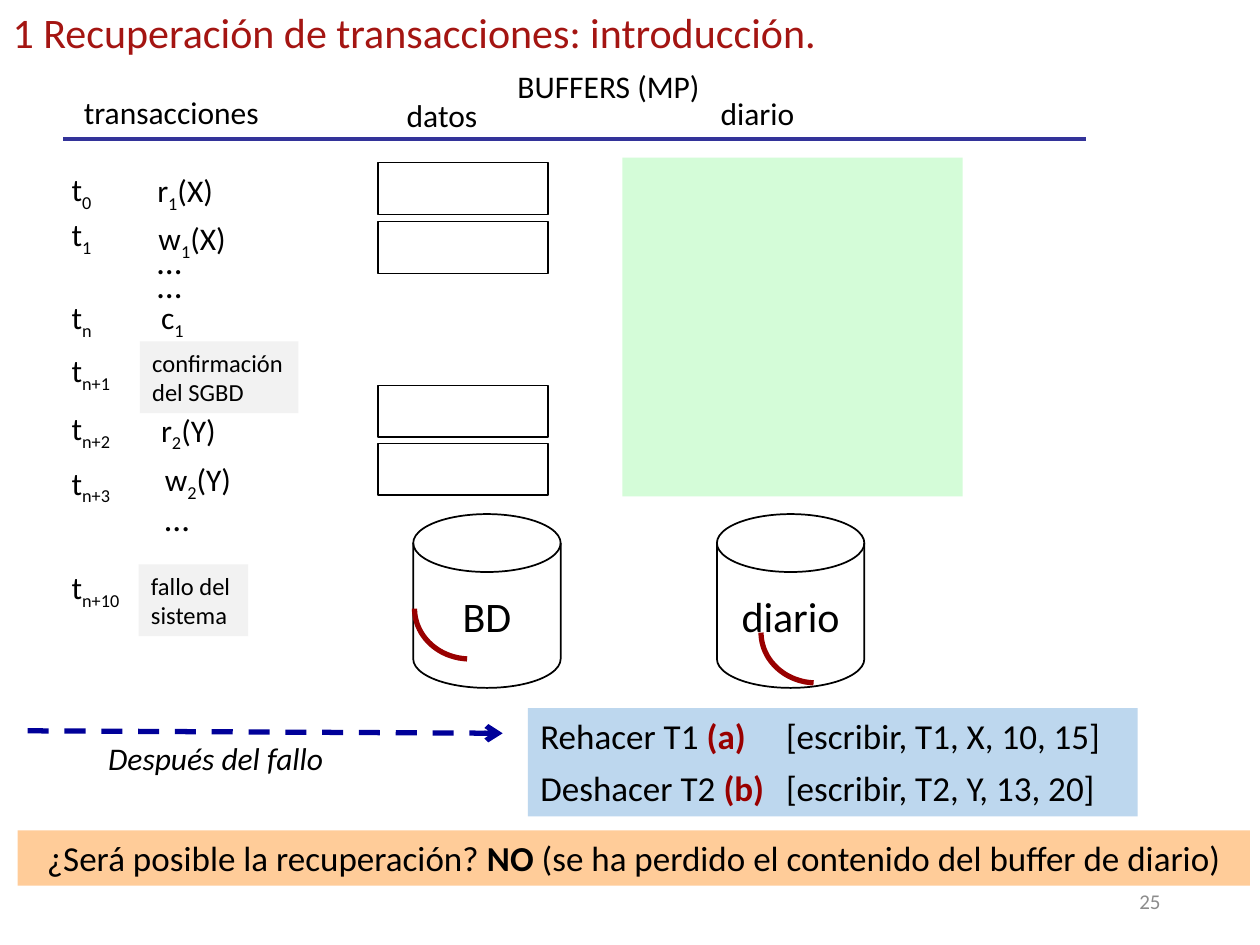
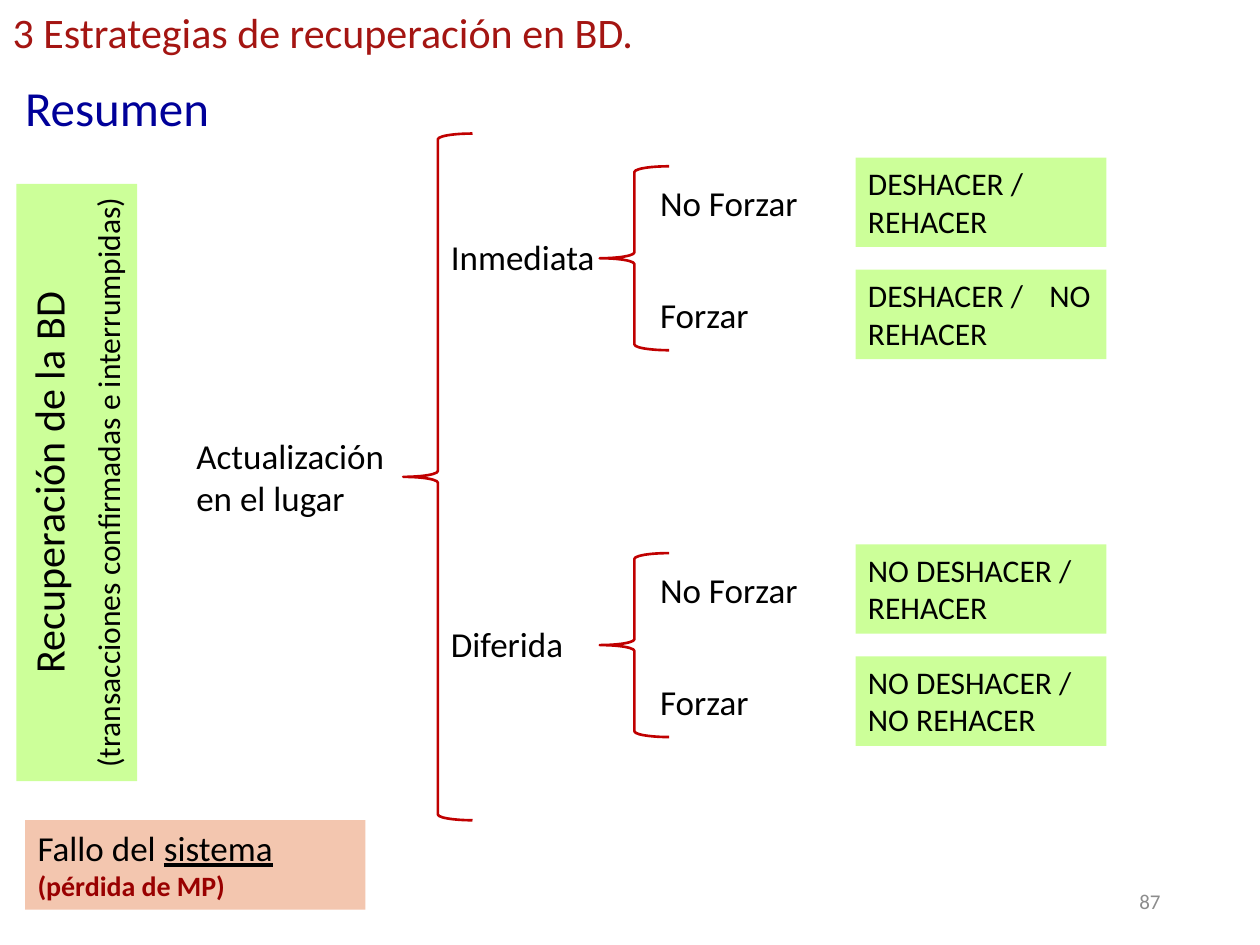
from dataclasses import dataclass
from math import cos, radians, sin

from lxml import etree
from pptx import Presentation
from pptx.dml.color import RGBColor
from pptx.enum.dml import MSO_LINE
from pptx.enum.shapes import MSO_CONNECTOR, MSO_SHAPE
from pptx.enum.text import MSO_ANCHOR, MSO_AUTO_SIZE, PP_ALIGN
from pptx.oxml.ns import qn
from pptx.util import Inches, Pt

LEFT, CENTER, RIGHT = PP_ALIGN.LEFT, PP_ALIGN.CENTER, PP_ALIGN.RIGHT
TOP, MIDDLE = MSO_ANCHOR.TOP, MSO_ANCHOR.MIDDLE
RECT, BRACE = MSO_SHAPE.RECTANGLE, MSO_SHAPE.LEFT_BRACE
DISK = MSO_SHAPE.FLOWCHART_MAGNETIC_DISK
STRAIGHT, DASH = MSO_CONNECTOR.STRAIGHT, MSO_LINE.DASH
TITLE_ONLY = 5


@dataclass(frozen=True)
class Theme:
    font: str = "Calibri"
    ink: str = "000000"
    white: str = "FFFFFF"
    title: str = "A41512"
    navy: str = "000099"
    rule: str = "333399"
    accent: str = "990000"
    brace: str = "C00000"
    number: str = "8C8C8C"
    log: str = "D4FCD8"
    event: str = "F2F2F2"
    action: str = "BDD7EE"
    answer: str = "FFCC99"
    strategy: str = "CCFF99"
    failure: str = "F3C6AF"
    heading_size: int = 28
    title_size: int = 24
    large: int = 20
    body: int = 18
    note: int = 16
    small: int = 14
    number_size: int = 12


T = Theme()


def rgb(value):
    return RGBColor.from_string(value)


def add_run(p, text, color=None, size=None, bold=None, underline=None, sub=False):
    r = p.add_run()
    r.text = text
    r.font.bold, r.font.underline = bold, underline
    if color:
        r.font.color.rgb = rgb(color)
    if size:
        r.font.size = Pt(size)
    if sub:
        r._r.get_or_add_rPr().set("baseline", "-25000")


def write(tf, paragraphs, size=T.body, color=T.ink, align=LEFT, anchor=TOP,
          wrap=True, gap=0, sizes=None, italic=None, tab=None, spacing=None):
    """Fill a frame; a paragraph is a string or a list of strings, (text, style) pairs
    and None for a line break. gap goes before all paragraphs but the first."""
    tf.word_wrap, tf.vertical_anchor = wrap, anchor
    tf.auto_size = MSO_AUTO_SIZE.NONE
    tf.margin_left = tf.margin_right = Inches(0.1)
    tf.margin_top = tf.margin_bottom = Inches(0.05)
    for i, parts in enumerate(paragraphs):
        p = tf.add_paragraph() if i else tf.paragraphs[0]
        if tab:
            tabs = etree.SubElement(p._p.get_or_add_pPr(), qn("a:tabLst"))
            etree.SubElement(tabs, qn("a:tab"), pos=str(Inches(tab)), algn="l")
        p.alignment = align
        p.space_before = Pt(gap if i else 0)
        if spacing:
            p.line_spacing = spacing[i]
        p.font.name, p.font.italic = T.font, italic
        p.font.size = Pt(sizes[i] if sizes else size)
        p.font.color.rgb = rgb(color)
        for part in [parts] if isinstance(parts, str) else parts:
            if part is None:
                p.add_line_break()
            elif isinstance(part, str):
                add_run(p, part)
            else:
                add_run(p, part[0], **part[1])


def add_text(s, x, y, w, h, *paragraphs, **style):
    box = s.shapes.add_textbox(Inches(x), Inches(y), Inches(w), Inches(h))
    write(box.text_frame, paragraphs, **style)


def paint(shape, fill=None, line=None, width=1.0):
    shape.shadow.inherit = False
    if fill:
        shape.fill.solid()
        shape.fill.fore_color.rgb = rgb(fill)
    else:
        shape.fill.background()
    if line:
        shape.line.color.rgb = rgb(line)
        shape.line.width = Pt(width)
    else:
        shape.line.fill.background()


def add_box(s, kind, x, y, w, h, *paragraphs, fill=None, line=None, width=1.0, **style):
    sp = s.shapes.add_shape(kind, Inches(x), Inches(y), Inches(w), Inches(h))
    paint(sp, fill, line, width)
    if paragraphs:
        write(sp.text_frame, paragraphs, **style)
    return sp


def add_line(s, x1, y1, x2, y2, color, width, dashed_arrow=False):
    c = s.shapes.add_connector(STRAIGHT, Inches(x1), Inches(y1), Inches(x2), Inches(y2))
    c.line.color.rgb = rgb(color)
    c.line.width = Pt(width)
    if dashed_arrow:
        c.line.dash_style = DASH
        etree.SubElement(c.line._get_or_add_ln(), qn("a:tailEnd"), type="arrow")
    etree.SubElement(c._element.spPr, qn("a:effectLst"))


def add_quarter_arc(s, x, y, rx=0.44, ry=0.4):
    """Curve from (x, y) down and to the right, a quarter of an ellipse."""
    points = [(Inches(x + rx + rx * cos(radians(a))), Inches(y + ry * sin(radians(a))))
              for a in range(180, 92, -3)]
    builder = s.shapes.build_freeform(*points[0], scale=1.0)
    builder.add_line_segments(points[1:], close=False)
    paint(builder.convert_to_shape(), line=T.accent, width=3)


def add_slide(prs, title, number):
    s = prs.slides.add_slide(prs.slide_layouts[TITLE_ONLY])
    sp = s.shapes.title
    sp.left, sp.top, sp.width, sp.height = Inches(0), Inches(0), Inches(9), Inches(0.5)
    write(sp.text_frame, [title], size=T.title_size, color=T.title)
    add_text(s, 7.06, 6.95, 2.25, 0.4, number, size=T.number_size,
             color=T.number, align=RIGHT, anchor=MIDDLE)
    return s


def add_symbol(s, x, y, base, sub, rest=""):
    add_text(s, x, y, 1.03, 0.4, [base, (sub, {"sub": True}), rest])


def add_strategy(s, name, top, no_force, force):
    """One update mode with its brace and the two force policies."""
    add_text(s, 3.48, top + 0.57, 1.63, 0.44, name, size=T.large)
    add_box(s, BRACE, 4.76, top + 0.07, 0.55, 1.46, line=T.brace, width=1.5)
    for i, (policy, actions) in enumerate((("No Forzar", no_force), ("Forzar", force))):
        y = top + 0.89 * i
        add_text(s, 5.14, y + 0.14, 1.6, 0.44, policy, size=T.large)
        add_box(s, RECT, 6.79, y, 1.99, 0.71, actions, fill=T.strategy, tab=1.44)


def build_introduction(prs):
    s = add_slide(prs, "1 Recuperación de transacciones: introducción.", "25")

    add_text(s, 3.97, 0.48, 1.72, 0.4, "BUFFERS (MP)", align=CENTER)
    add_text(s, 0.36, 0.69, 2, 0.4, "transacciones", align=CENTER)
    add_text(s, 3.13, 0.71, 1.03, 0.4, "datos")
    add_text(s, 5.62, 0.7, 0.98, 0.4, "diario")
    add_line(s, 0.5, 1.1, 8.62, 1.1, T.rule, 2.25)

    add_box(s, RECT, 4.94, 1.25, 2.7, 2.69, fill=T.log)
    for y in (1.29, 1.76, 3.06, 3.52):
        add_box(s, RECT, 3, y, 1.35, 0.41, line=T.ink, width=0.75)

    times = (("0", 1.3), ("1", 1.66), ("n", 2.32), ("n+1", 2.74),
             ("n+2", 3.2), ("n+3", 3.63), ("n+10", 4.46))
    for sub, y in times:
        add_symbol(s, 0.47, y, "t", sub)
    operations = ((1.15, 1.31, "r", "1", "(X)"), (1.16, 1.69, "w", "1", "(X)"),
                  (1.18, 2.32, "c", "1", ""), (1.18, 3.21, "r", "2", "(Y)"),
                  (1.21, 3.6, "w", "2", "(Y)"))
    for operation in operations:
        add_symbol(s, *operation)
    add_text(s, 1.15, 1.85, 0.98, 0.56, "…", "…", size=T.large, gap=7, spacing=(1.0, 0.15))
    add_text(s, 1.21, 4.13, 0.98, 0.2, "…", size=T.large, spacing=(0.15,))
    add_box(s, RECT, 1.11, 2.71, 1.26, 0.57, "confirmación del SGBD",
            fill=T.event, size=T.small)
    add_box(s, RECT, 1.1, 4.48, 0.87, 0.57, "fallo del sistema",
            fill=T.event, size=T.small)

    for x, store in ((3.28, "BD"), (5.69, "diario")):
        add_box(s, DISK, x, 4.08, 1.17, 1.38, store, fill=T.white, line=T.ink,
                size=T.title_size, align=CENTER, anchor=MIDDLE, wrap=False)
    add_quarter_arc(s, 3.29, 4.83)
    add_quarter_arc(s, 6.04, 5.02)

    add_line(s, 0.22, 5.8, 3.99, 5.82, T.navy, 3, dashed_arrow=True)
    add_text(s, 0.76, 5.82, 2.72, 0.4, "Después del fallo", italic=True)
    mark = {"color": T.accent, "bold": True}
    add_box(s, RECT, 4.19, 5.62, 4.84, 0.86,
            ["Rehacer T1 ", ("(a)", mark), "\t[escribir, T1, X, 10, 15]"],
            ["Deshacer T2 ", ("(b)", mark), "\t[escribir, T2, Y, 13, 20]"],
            fill=T.action, size=T.large, gap=6, tab=1.95)
    add_box(s, RECT, 0.14, 6.59, 9.78, 0.44,
            ["¿Será posible la recuperación? ", ("NO", {"bold": True}),
             " (se ha perdido el contenido del buffer de diario)"],
            fill=T.answer, size=T.large, align=CENTER)


def build_summary(prs):
    s = add_slide(prs, "3 Estrategias de recuperación en BD.", "87")
    add_text(s, 0.1, 0.57, 2.25, 0.57, "Resumen", size=T.heading_size, color=T.navy)

    scope = add_box(s, RECT, -1.76, 3.35, 4.74, 0.96, "Recuperación de la BD",
                    "(transacciones confirmadas e interrumpidas)", fill=T.strategy,
                    sizes=(T.title_size, T.body), align=CENTER, gap=9)
    scope.rotation = 270
    add_text(s, 1.46, 3.4, 1.9, 0.77, "Actualización en el lugar", size=T.large)
    add_box(s, BRACE, 3.2, 1.06, 0.55, 5.45, line=T.brace, width=1.5)
    add_strategy(s, "Inmediata", 1.25, "DESHACER / REHACER", "DESHACER /\tNO REHACER")
    add_strategy(s, "Diferida", 4.32, "NO DESHACER / REHACER", "NO DESHACER / NO REHACER")

    add_box(s, RECT, 0.2, 6.51, 2.7, 0.71,
            ["Fallo del ", ("sistema", {"underline": True}), None,
             ("(pérdida de MP)", {"color": T.accent, "size": T.note, "bold": True})],
            fill=T.failure, size=T.large)


def main():
    prs = Presentation()
    prs.slide_width, prs.slide_height = Inches(10), Inches(7.5)
    build_introduction(prs)
    build_summary(prs)
    prs.save("out.pptx")


if __name__ == "__main__":
    main()
